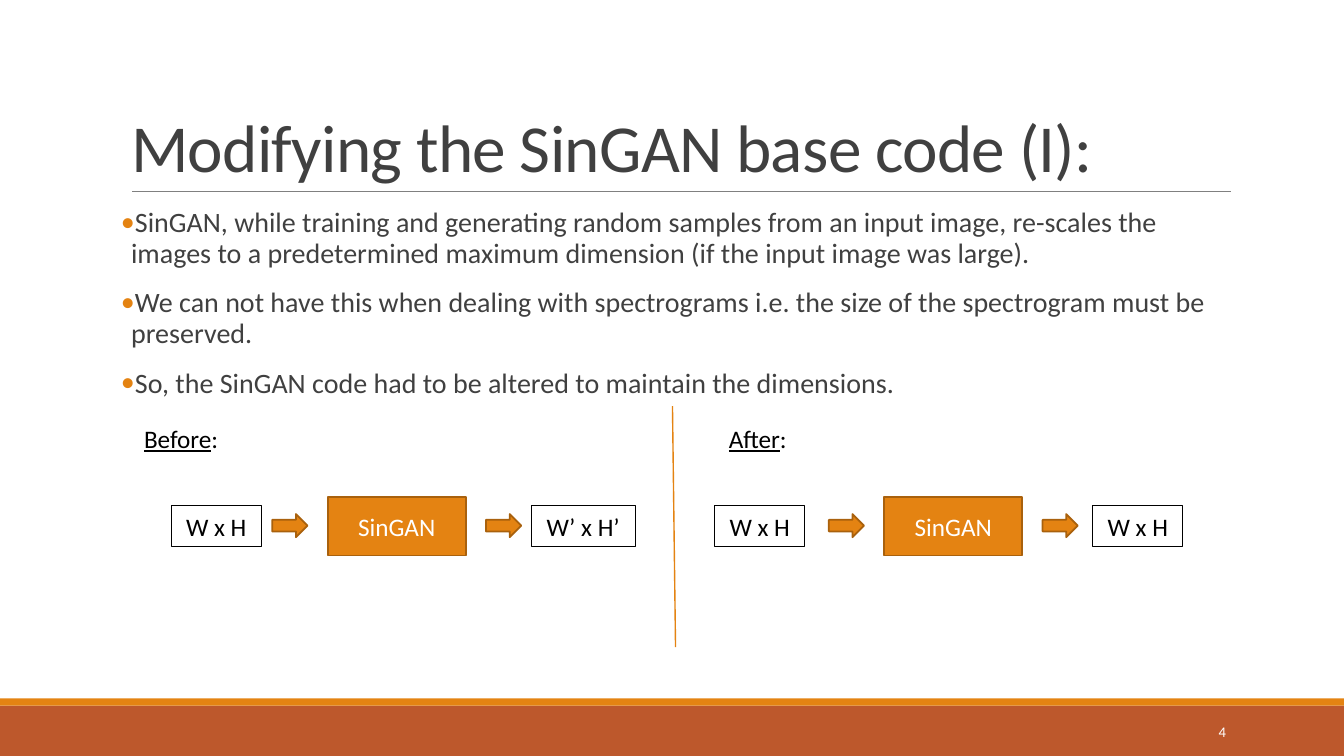
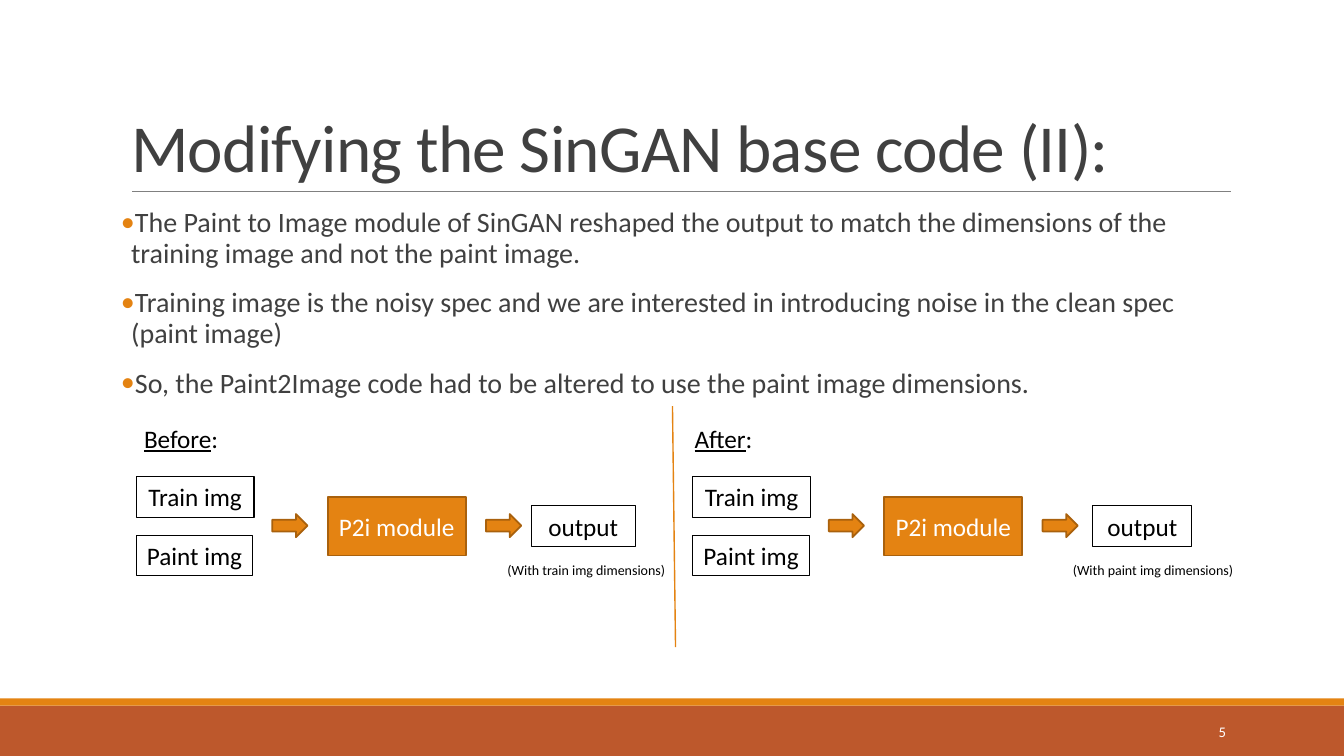
from lxml.etree import SubElement
from pptx import Presentation
from pptx.dml.color import RGBColor
from pptx.enum.shapes import MSO_CONNECTOR, MSO_SHAPE
from pptx.enum.text import MSO_ANCHOR, MSO_AUTO_SIZE, PP_ALIGN
from pptx.oxml.ns import qn
from pptx.util import Inches, Pt

WIDE, HIGH = 13.33, 7.5
FONT = "Calibri"
ORANGE, RUST, BROWN = "E48312", "BD582C", "A9610D"
INK, GREY, BLACK, WHITE = "404040", "808080", "000000", "FFFFFF"
LEFT, SPAN = 1.2, 11      # text column
BAND, STRIPE = 0.5, 0.07  # heights of the footer bands
PANELS = (1.33, 6.85)     # left edges of the two flows
TOP = 4.15                # top edge of the flows


def color(value):
    return RGBColor.from_string(value)


def write(shape, paras, size=18, ink=BLACK, align=PP_ALIGN.LEFT,
          anchor=MSO_ANCHOR.TOP, inset=0.1, lines=None, before=0, after=0,
          track=None, bullet=None):
    """Fill a shape; a paragraph is a string or a list of (text, underlined)."""
    frame = shape.text_frame
    frame.word_wrap = True
    frame.auto_size = MSO_AUTO_SIZE.NONE
    frame.vertical_anchor = anchor
    frame.margin_left = frame.margin_right = Inches(inset)
    frame.margin_top = frame.margin_bottom = Inches(0.05)
    for i, runs in enumerate(paras):
        para = frame.add_paragraph() if i else frame.paragraphs[0]
        para.alignment = align
        para.line_spacing = lines
        para.space_before, para.space_after = Pt(before), Pt(after)
        if bullet:
            mark(para, bullet)
        for text, under in [(runs, False)] if isinstance(runs, str) else runs:
            run = para.add_run()
            run.text = text
            font = run.font
            font.name, font.size, font.underline = FONT, Pt(size), under
            font.color.rgb = color(ink)
            if track:
                run._r.get_or_add_rPr().set("spc", str(int(track * 100)))


def mark(para, ink):
    """Give a paragraph a hanging round bullet."""
    props = para._p.get_or_add_pPr()
    indent = Inches(0.1)
    props.set("marL", str(indent))
    props.set("indent", str(-indent))
    tint = SubElement(props, qn("a:buClr"))
    SubElement(tint, qn("a:srgbClr"), val=ink)
    SubElement(props, qn("a:buFont"), typeface=FONT)
    SubElement(props, qn("a:buChar"), char="•")


def place(shape, x, y, w, h):
    shape.left, shape.top = Inches(x), Inches(y)
    shape.width, shape.height = Inches(w), Inches(h)


def block(slide, kind, x, y, w, h, fill=None, edge=None, weight=0.75):
    shape = slide.shapes.add_shape(
        kind, Inches(x), Inches(y), Inches(w), Inches(h))
    shape.shadow.inherit = False
    if fill:
        shape.fill.solid()
        shape.fill.fore_color.rgb = color(fill)
    else:
        shape.fill.background()
    if edge:
        shape.line.color.rgb = color(edge)
        shape.line.width = Pt(weight)
    else:
        shape.line.fill.background()
    return shape


def label(slide, x, y, w, h, paras, **style):
    area = slide.shapes.add_textbox(
        Inches(x), Inches(y), Inches(w), Inches(h))
    write(area, paras, **style)


def rule(slide, x1, y1, x2, y2, ink, weight):
    line = slide.shapes.add_connector(
        MSO_CONNECTOR.STRAIGHT, *map(Inches, (x1, y1, x2, y2)))
    line.line.color.rgb = color(ink)
    line.line.width = Pt(weight)
    SubElement(line._element.spPr, qn("a:effectLst"))


def frame(slide, number):
    """Draw the footer bands, the title rule and the slide number."""
    foot = HIGH - BAND
    block(slide, MSO_SHAPE.RECTANGLE, 0, foot, WIDE, BAND, RUST)
    block(slide, MSO_SHAPE.RECTANGLE, 0, foot - STRIPE, WIDE, STRIPE, ORANGE)
    rule(slide, 1.31, 1.9, 12.21, 1.9, GREY, 0.5)
    label(slide, 10.83, 7.06, 1.43, 0.4, [str(number)], size=10.5, ink=WHITE,
          align=PP_ALIGN.RIGHT, anchor=MSO_ANCHOR.MIDDLE)


def flow(slide, x, y, name, shift, inputs, module, output, note=None):
    """Draw inputs > module > output; offsets count from the corner x, y."""
    mid, row, pitch = y + 1.07, 0.4, 0.58
    center = dict(align=PP_ALIGN.CENTER, anchor=MSO_ANCHOR.MIDDLE, inset=0)

    def card(text, dx, w, axis):
        shape = block(slide, MSO_SHAPE.RECTANGLE, x + dx, axis - row / 2,
                      w, row, edge=BLACK)
        write(shape, [text], **center)

    label(slide, x + shift, y, 1.21, row, [[(name, True), (":", False)]])
    first = mid - pitch * (len(inputs) - 1) / 2
    for i, (text, dx, w) in enumerate(inputs):
        card(text, dx, w, first + i * pitch)
    core = block(slide, MSO_SHAPE.FLOWCHART_PROCESS, x + 1.92, mid - 0.29,
                 1.37, 0.58, ORANGE, BROWN, 1.25)
    write(core, [module], ink=WHITE, **center)
    for dx in (1.37, 3.49):
        block(slide, MSO_SHAPE.RIGHT_ARROW, x + dx, mid - 0.12, 0.35, 0.23,
              ORANGE, BROWN, 1.25)
    card(*output, mid)
    if note:
        text, dx = note
        label(slide, x + dx, y + 1.37, 1.83, 0.27, [text], size=10, **center)


def page(deck, number, title, points, flows):
    slide = deck.slides.add_slide(deck.slide_layouts[1])
    frame(slide, number)
    head, body = slide.placeholders
    place(head, LEFT, 0.31, SPAN, 1.59)
    write(head, [title], size=48, ink=INK, anchor=MSO_ANCHOR.BOTTOM,
          lines=0.85, track=-0.5)
    place(body, LEFT, 2.02, SPAN, 4.4)
    write(body, points, size=20, ink=INK, inset=0, lines=0.9, before=12,
          after=2, bullet=ORANGE)
    rule(slide, 6.67, 4.03, 6.7, 6.42, ORANGE, 1)
    for x, parts in zip(PANELS, flows):
        flow(slide, x, TOP, **parts)


IMAGES = [("Train img", 0.02, 1.17), ("Paint img", 0.02, 1.16)]
PAGES = [
    ("Modifying the SinGAN base code (I):",
     ["SinGAN, while training and generating random samples from an input "
      "image, re-scales the images to a predetermined maximum dimension "
      "(if the input image was large).",
      "We can not have this when dealing with spectrograms i.e. the size of "
      "the spectrogram must be preserved.",
      "So, the SinGAN code had to be altered to maintain the dimensions."],
     [dict(name="Before", shift=0, inputs=[("W x H", 0.37, 0.89)],
           module="SinGAN", output=("W’ x H’", 3.94, 1.03)),
      dict(name="After", shift=0.28, inputs=[("W x H", 0.24, 0.89)],
           module="SinGAN", output=("W x H", 3.99, 0.89))]),
    ("Modifying the SinGAN base code (II):",
     ["The Paint to Image module of SinGAN reshaped the output to match the "
      "dimensions of the training image and not the paint image.",
      "Training image is the noisy spec and we are interested in introducing "
      "noise in the clean spec (paint image)",
      "So, the Paint2Image code had to be altered to use the paint image "
      "dimensions."],
     [dict(name="Before", shift=0, inputs=IMAGES, module="P2i module",
           output=("output", 3.94, 1.03),
           note=("(With train img dimensions)", 3.57)),
      dict(name="After", shift=-0.06, inputs=IMAGES, module="P2i module",
           output=("output", 3.99, 0.98),
           note=("(With paint img dimensions)", 3.67))]),
]


def main():
    deck = Presentation()
    deck.slide_width, deck.slide_height = Inches(WIDE), Inches(HIGH)
    for number, parts in enumerate(PAGES, 4):
        page(deck, number, *parts)
    deck.save("out.pptx")


if __name__ == "__main__":
    main()
